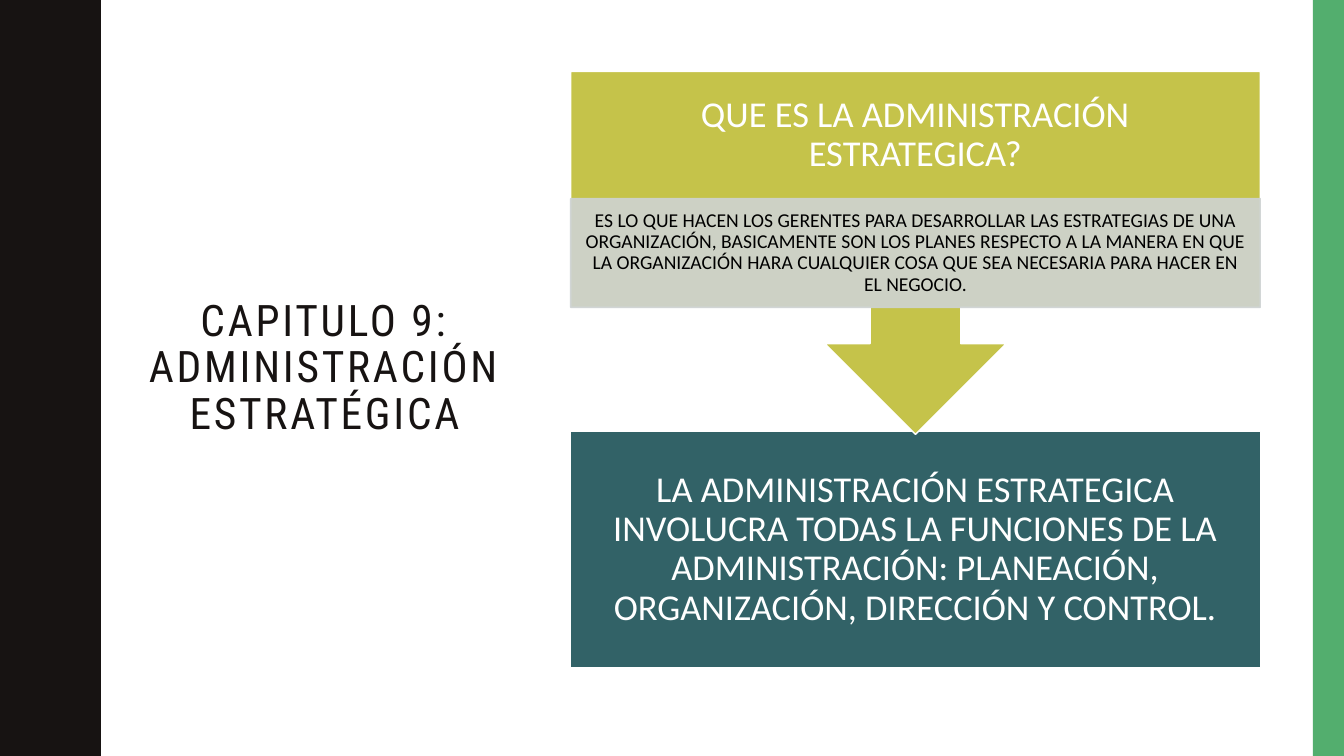
from lxml import etree
from pptx import Presentation
from pptx.dml.color import RGBColor
from pptx.enum.shapes import MSO_SHAPE
from pptx.enum.text import MSO_ANCHOR, MSO_AUTO_SIZE, PP_ALIGN
from pptx.oxml.ns import qn
from pptx.util import Inches, Pt

RECTANGLE = MSO_SHAPE.RECTANGLE
ARROW_CALLOUT = MSO_SHAPE.DOWN_ARROW_CALLOUT
MIDDLE = MSO_ANCHOR.MIDDLE
CENTER = PP_ALIGN.CENTER
NO_AUTOFIT = MSO_AUTO_SIZE.NONE

INK = "171312"
GREEN = "53AE6E"
OLIVE = "C5C34A"
TEAL = "326267"
GRAY = "CED3D3"
WHITE = "FFFFFF"
BLACK = "000000"

HALF_WAVE = [(0.78, 0), (0.78, 0.07), (0.79, 0.14), (0.8, 0.2), (0.81, 0.25),
             (0.83, 0.29), (0.85, 0.33), (0.87, 0.38), (0.89, 0.42), (0.91, 0.46),
             (0.93, 0.5), (0.95, 0.55), (0.96, 0.61), (0.97, 0.68), (0.97, 0.75)]
WAVE_LENGTH = 1.5
WAVE_COUNT = 5

PANEL_LEFT, PANEL_WIDTH = 5.66, 6.84
PANEL_MARGINS = (0.2, 0.2)


def color(value):
    """Return the colour for a hex string."""
    return RGBColor.from_string(value)


class SlideBuilder:
    """Holds the text style and the current slide."""

    def __init__(self, presentation, font_name):
        """Add a title-only slide to the presentation."""
        self.slide = presentation.slides.add_slide(presentation.slide_layouts[5])
        self.font_name = font_name

    def paint(self, shape, fill, line=None, opacity=None):
        """Set fill, outline and opacity, without a shadow."""
        shape.shadow.inherit = False
        shape.fill.solid()
        shape.fill.fore_color.rgb = color(fill)
        if line:
            shape.line.color.rgb = color(line)
            shape.line.width = Pt(1)
        else:
            shape.line.fill.background()
        if opacity:
            for element in shape._element.spPr.iter(qn("a:srgbClr")):
                etree.SubElement(element, qn("a:alpha"), val=str(opacity * 1000))

    def set_text(self, shape, text, size, text_color, margins, font_name=None):
        """Put one centred paragraph into a shape."""
        frame = shape.text_frame
        frame.word_wrap = True
        frame.auto_size = NO_AUTOFIT
        frame.vertical_anchor = MIDDLE
        frame.margin_left = frame.margin_right = Inches(margins[0])
        frame.margin_top = frame.margin_bottom = Inches(margins[1])
        paragraph = frame.paragraphs[0]
        paragraph.text = text
        paragraph.alignment = CENTER
        paragraph.line_spacing = 0.9
        paragraph.font.size = Pt(size)
        paragraph.font.name = font_name or self.font_name
        paragraph.font.color.rgb = color(text_color)
        return paragraph

    def title(self, text, box):
        """Place the title with widened letter spacing."""
        title = self.slide.shapes.title
        title.left, title.top, title.width, title.height = map(Inches, box)
        paragraph = self.set_text(title, text, 31, INK, (0.1, 0.05), "Roboto Condensed")
        paragraph.runs[0]._r.get_or_add_rPr().set("spc", "200")

    def shape(self, kind, box, fill, line=None, opacity=None):
        """Add a painted preset shape."""
        shape = self.slide.shapes.add_shape(kind, *map(Inches, box))
        self.paint(shape, fill, line, opacity)
        return shape

    def text(self, text, box, size, text_color, margins):
        """Add a text box."""
        text_box = self.slide.shapes.add_textbox(*map(Inches, box))
        self.set_text(text_box, text, size, text_color, margins)

    def wavy_band(self):
        """Draw the band with the wavy edge on the left."""
        wave = HALF_WAVE + [(x, WAVE_LENGTH - y) for x, y in HALF_WAVE[-2::-1]]
        edge = [(x, y + index * WAVE_LENGTH)
                for index in range(WAVE_COUNT) for x, y in wave]
        builder = self.slide.shapes.build_freeform(0, 0, scale=Inches(1))
        builder.add_line_segments(edge + [(0, WAVE_COUNT * WAVE_LENGTH)], close=True)
        self.paint(builder.convert_to_shape(), INK)


def main():
    """Build and save the slide."""
    presentation = Presentation()
    presentation.slide_width = Inches(13.33)
    presentation.slide_height = Inches(7.5)
    builder = SlideBuilder(presentation, "Calibri")

    builder.wavy_band()
    builder.shape(RECTANGLE, (13.02, 0, 0.31, 7.5), GREEN)
    builder.title("CAPITULO 9: ADMINISTRACIÓN ESTRATÉGICA", (1.37, 0.7, 3.7, 5.92))

    conclusion = builder.shape(
        RECTANGLE, (PANEL_LEFT, 4.28, PANEL_WIDTH, 2.34), TEAL, WHITE)
    builder.set_text(
        conclusion,
        "LA ADMINISTRACIÓN ESTRATEGICA INVOLUCRA TODAS LA FUNCIONES DE LA "
        "ADMINISTRACIÓN: PLANEACIÓN, ORGANIZACIÓN, DIRECCIÓN Y CONTROL.",
        26, WHITE, PANEL_MARGINS)

    builder.shape(ARROW_CALLOUT, (PANEL_LEFT, 0.71, PANEL_WIDTH, 3.6), OLIVE, WHITE)
    builder.text("QUE ES LA ADMINISTRACIÓN ESTRATEGICA?",
                 (PANEL_LEFT, 0.71, PANEL_WIDTH, 1.26), 26, WHITE, PANEL_MARGINS)

    definition = builder.shape(
        RECTANGLE, (PANEL_LEFT, 1.97, PANEL_WIDTH, 1.08), GRAY, GRAY, opacity=90)
    builder.set_text(
        definition,
        "ES LO QUE HACEN LOS GERENTES PARA DESARROLLAR LAS ESTRATEGIAS DE UNA "
        "ORGANIZACIÓN, BASICAMENTE SON LOS PLANES RESPECTO A LA MANERA EN QUE LA "
        "ORGANIZACIÓN HARA CUALQUIER COSA QUE SEA NECESARIA PARA HACER EN EL NEGOCIO.",
        14, BLACK, (0.11, 0.02))

    presentation.save("out.pptx")


if __name__ == "__main__":
    main()
